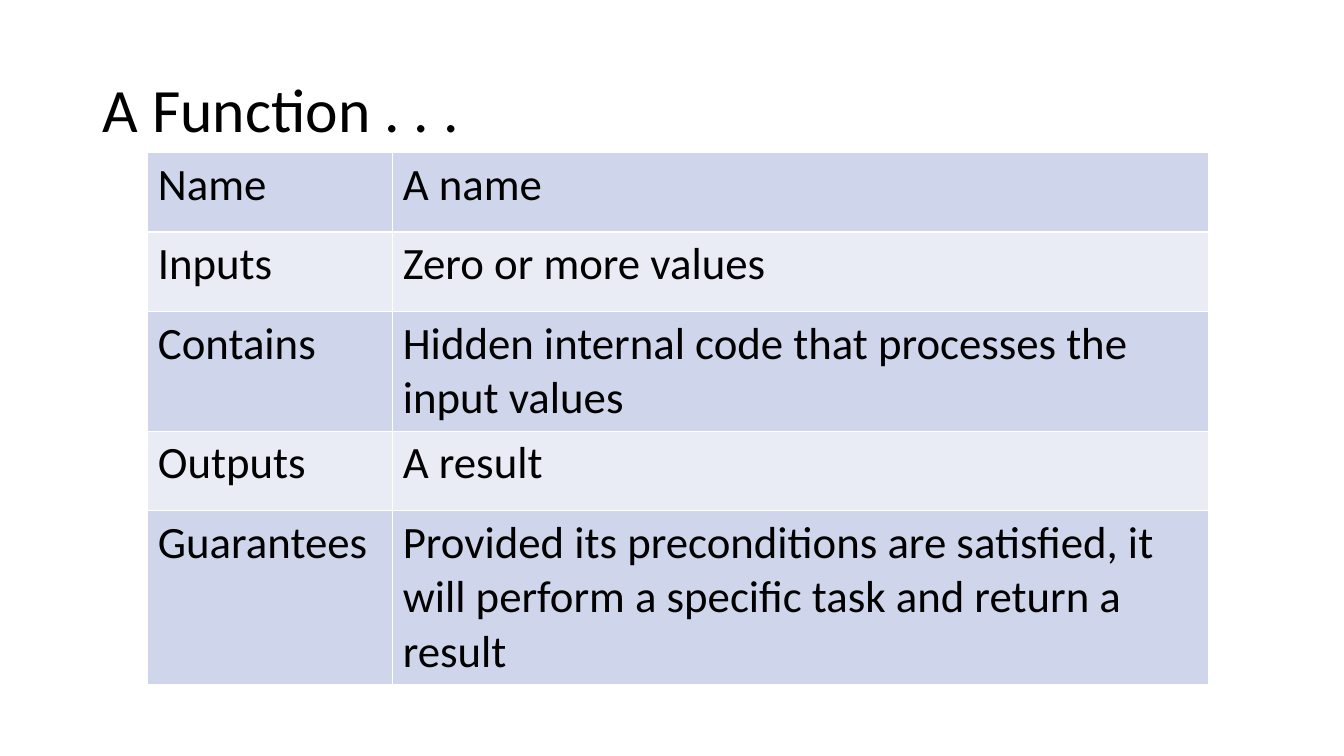
from dataclasses import dataclass

from pptx import Presentation
from pptx.dml.color import RGBColor
from pptx.enum.text import MSO_ANCHOR, MSO_AUTO_SIZE, PP_ALIGN
from pptx.oxml.ns import qn
from pptx.util import Inches, Pt
from lxml.etree import SubElement as Sub


@dataclass(frozen=True)
class Theme:
    """Fonts, type sizes and colours of the deck."""
    font: str = "Calibri"
    title_size: int = 44
    cell_size: int = 32
    ink: str = "000000"
    rule: str = "FFFFFF"
    bands: tuple = ("CFD5EA", "E9EBF5")


class FunctionSlide:
    """Draws titles and tables in one theme, with places as shares of the slide."""

    def __init__(self, deck, theme):
        self.width, self.height = deck.slide_width, deck.slide_height
        self.theme = theme
        self.slide = deck.slides.add_slide(deck.slide_layouts[5])

    def box(self, left, top, width, height):
        return (int(left * self.width), int(top * self.height),
                int(width * self.width), int(height * self.height))

    def style(self, paragraph, size):
        for run in paragraph.runs:
            run.font.name = self.theme.font
            run.font.size = Pt(size)
            run.font.color.rgb = RGBColor.from_string(self.theme.ink)

    def title(self, wording, place):
        heading = self.slide.shapes.title
        heading.left, heading.top, heading.width, heading.height = self.box(*place)
        frame = heading.text_frame
        frame.text = wording
        frame.auto_size = MSO_AUTO_SIZE.NONE
        frame.vertical_anchor = MSO_ANCHOR.MIDDLE
        paragraph = frame.paragraphs[0]
        paragraph.alignment = PP_ALIGN.LEFT
        paragraph.line_spacing = 0.9
        self.style(paragraph, self.theme.title_size)

    def border(self, cell):
        properties = cell._tc.get_or_add_tcPr()
        for position, side in enumerate(("a:lnL", "a:lnR", "a:lnT", "a:lnB")):
            line = Sub(properties, qn(side), w=str(Pt(1)))
            Sub(Sub(line, qn("a:solidFill")), qn("a:srgbClr"), val=self.theme.rule)
            properties.insert(position, line)

    def table(self, entries, place, column_shares, row_shares):
        left, top, width, height = self.box(*place)
        grid = self.slide.shapes.add_table(
            len(entries), len(column_shares), left, top, width, height).table
        grid.first_row = False
        for column, share in zip(grid.columns, column_shares):
            column.width = int(width * share)
        for index, (row, share, wordings) in enumerate(
                zip(grid.rows, row_shares, entries)):
            row.height = int(height * share)
            band = self.theme.bands[index % len(self.theme.bands)]
            for cell, wording in zip(row.cells, wordings):
                cell.text = wording
                cell.fill.solid()
                cell.fill.fore_color.rgb = RGBColor.from_string(band)
                self.border(cell)
                self.style(cell.text_frame.paragraphs[0], self.theme.cell_size)


def main():
    deck = Presentation()
    deck.slide_width, deck.slide_height = Inches(13.33), Inches(7.5)
    page = FunctionSlide(deck, Theme())
    page.title("A Function . . .", (0.069, 0.053, 0.863, 0.193))
    page.table(
        [
            ("Name", "A name"),
            ("Inputs", "Zero or more values"),
            ("Contains", "Hidden internal code that processes the input values"),
            ("Outputs", "A result"),
            ("Guarantees", "Provided its preconditions are satisfied, "
                           "it will perform a specific task and return a result"),
        ],
        place=(0.11, 0.202, 0.789, 0.7),
        column_shares=(0.231, 0.769),
        row_shares=(0.15, 0.15, 0.225, 0.15, 0.325),
    )
    deck.save("out.pptx")


if __name__ == "__main__":
    main()
